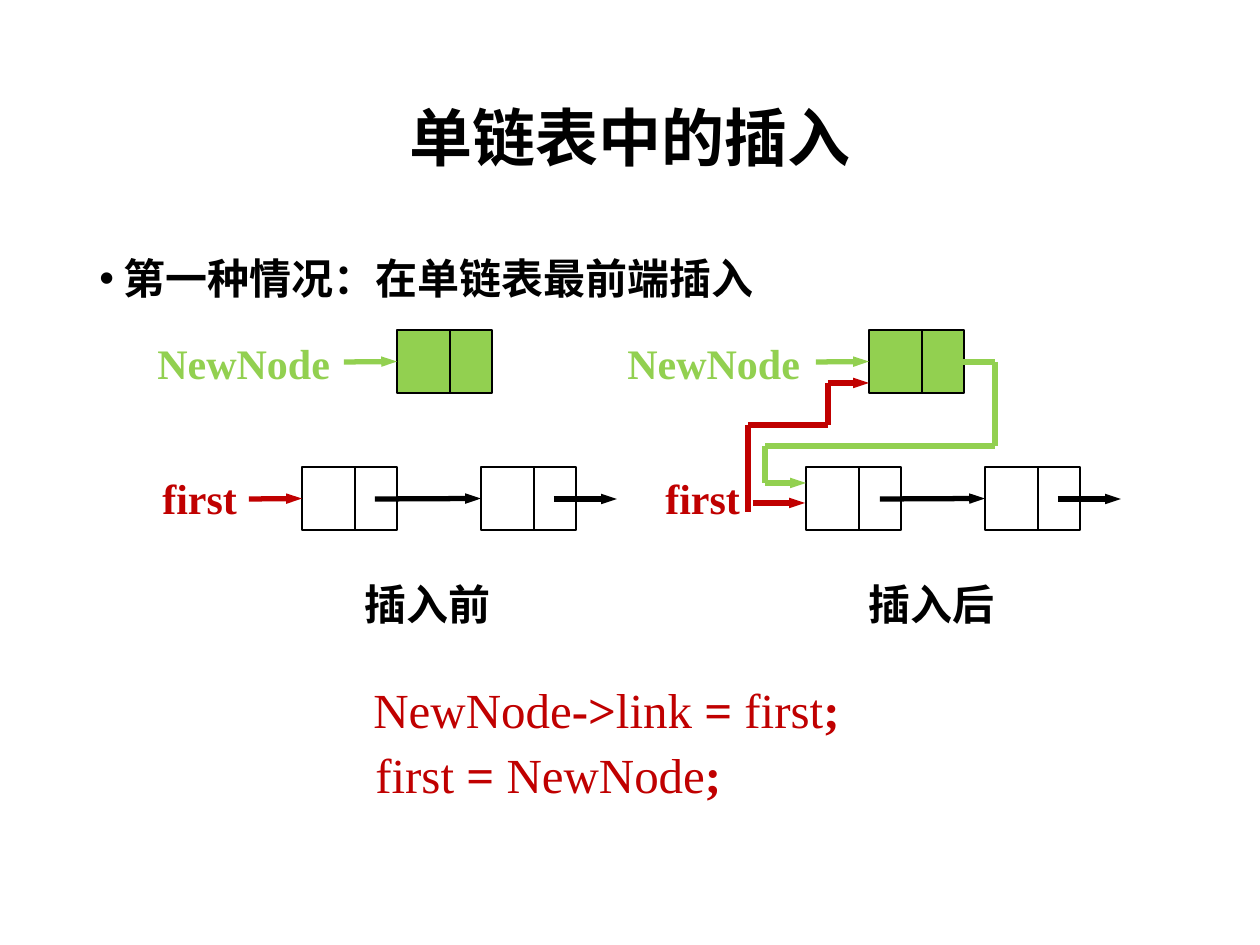
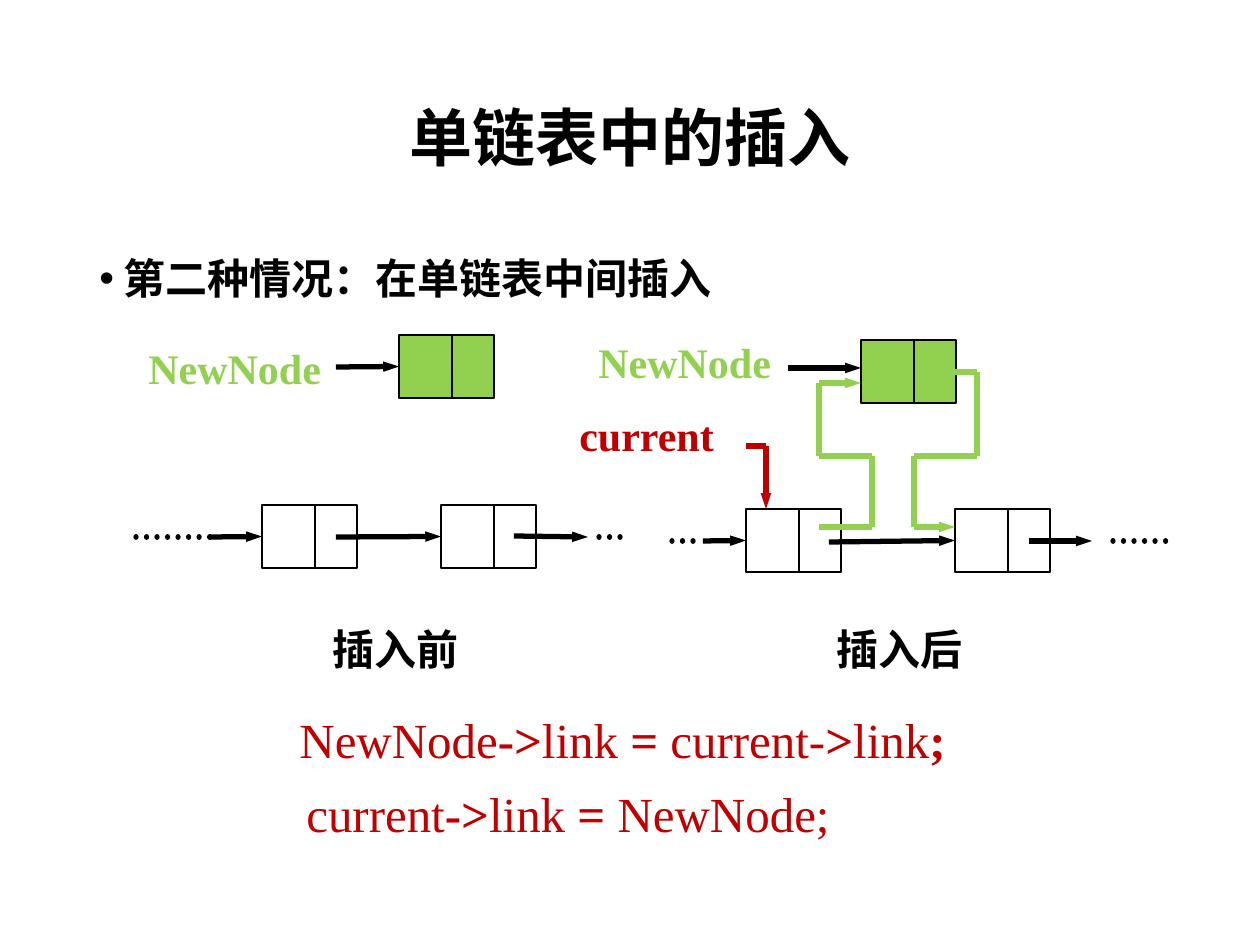
from itertools import pairwise
from lxml.etree import SubElement
from pptx import Presentation
from pptx.dml.color import RGBColor
from pptx.enum.dml import MSO_LINE
from pptx.enum.shapes import MSO_CONNECTOR, MSO_SHAPE
from pptx.enum.text import MSO_ANCHOR, MSO_AUTO_SIZE, PP_ALIGN
from pptx.oxml.ns import qn
from pptx.util import Emu, Pt

BLACK = RGBColor(0, 0, 0)
WHITE = RGBColor(255, 255, 255)
GREEN = RGBColor(0x92, 0xD0, 0x50)
RED = RGBColor(0xC0, 0, 0)
HAN = "Noto Sans CJK SC"
ROMAN = "Times New Roman"

WIDE, HIGH, SPLIT = 95, 63, 53
TITLE = "单链表中的插入"
BEFORE, AFTER = "插入前", "插入后"

FRONT = {
    "point": "第一种情况：在单链表最前端插入",
    "new": [(397, 330), (869, 330)],
    "nodes": [(302, 467), (481, 467), (806, 467), (985, 467)],
    "labels": [
        (BEFORE, 352, 572, 152, BLACK),
        (AFTER, 856, 572, 152, BLACK),
        ("NewNode", 145, 331, 200, GREEN),
        ("NewNode", 615, 331, 200, GREEN),
        ("first", 150, 466, 116, RED),
        ("first", 653, 466, 116, RED),
    ],
    "dots": [],
    "arrows": [
        (GREEN, [(344, 362), (397, 362)]),
        (GREEN, [(816, 362), (869, 362)]),
        (RED, [(249, 499), (302, 499)]),
        (BLACK, [(375, 499), (481, 499)]),
        (BLACK, [(554, 499), (617, 499)]),
        (BLACK, [(880, 499), (985, 499)]),
        (BLACK, [(1058, 499), (1121, 499)]),
        (RED, [(753, 503), (805, 503)]),
        (RED, [(748, 512), (748, 425), (828, 425), (828, 383), (869, 383)]),
        (GREEN, [(942, 362), (995, 362), (995, 446), (765, 446),
                 (765, 483), (806, 483)]),
    ],
    "code": [
        (361, 673, 546, ["NewNode", "->", "link ", "= ", "first", ";"]),
        (363, 738, 375, ["first ", "= ", "NewNode", ";"]),
    ],
}

MIDDLE = {
    "point": "第二种情况：在单链表中间插入",
    "new": [(399, 335), (861, 340)],
    "nodes": [(262, 505), (441, 505), (746, 509), (955, 509)],
    "labels": [
        (BEFORE, 320, 617, 152, BLACK),
        (AFTER, 824, 617, 152, BLACK),
        ("NewNode", 136, 336, 200, GREEN),
        ("NewNode", 586, 330, 200, GREEN),
        ("current", 567, 403, 161, RED),
    ],
    "dots": [
        [(136, 537), (210, 537)],
        [(599, 537), (630, 537)],
        [(672, 541), (703, 541)],
        [(1113, 541), (1166, 541)],
    ],
    "arrows": [
        (BLACK, [(336, 367), (399, 367)]),
        (BLACK, [(788, 368), (861, 368)]),
        (BLACK, [(210, 537), (262, 537)]),
        (BLACK, [(336, 537), (441, 536)]),
        (BLACK, [(514, 536), (588, 537)]),
        (BLACK, [(703, 541), (746, 541)]),
        (BLACK, [(829, 542), (955, 542)]),
        (BLACK, [(1029, 541), (1092, 541)]),
        (RED, [(746, 446), (766, 446), (766, 509)]),
        (GREEN, [(935, 372), (977, 372), (977, 456), (914, 456),
                 (914, 527), (955, 527)]),
        (GREEN, [(819, 527), (872, 527), (872, 456), (819, 456),
                 (819, 383), (861, 383)]),
    ],
    "code": [
        (287, 703, 684, ["NewNode", "->", "link ", "= ", "current-", ">",
                         "link", ";"]),
        (294, 777, 554, ["current", "->", "link ", "= ", "NewNode;"]),
    ],
}


def px(n):
    return Emu(round(n * 914400 / 126))


def write(para, text, size, color, bold=True, face=ROMAN):
    run = para.add_run()
    run.text = text
    font = run.font
    font.size, font.bold, font.name = Pt(size), bold, face
    font.color.rgb = color
    SubElement(run._r.get_or_add_rPr(), qn("a:ea"), typeface=HAN)


def add_box(slide, x, y, wide, high=HIGH):
    box = slide.shapes.add_textbox(px(x), px(y), px(wide), px(high))
    box.text_frame.word_wrap = True
    return box.text_frame.paragraphs[0]


def add_line(slide, start, end, color, width=3.0):
    line = slide.shapes.add_connector(
        MSO_CONNECTOR.STRAIGHT, *map(px, start + end))
    line.line.color.rgb = color
    line.line.width = Pt(width)
    SubElement(line._element.spPr, qn("a:effectLst"))
    return line


def add_node(slide, spot, fill):
    x, y = spot
    node = slide.shapes.add_shape(
        MSO_SHAPE.RECTANGLE, px(x), px(y), px(WIDE), px(HIGH))
    node.shadow.inherit = False
    node.fill.solid()
    node.fill.fore_color.rgb = fill
    node.line.color.rgb = BLACK
    node.line.width = Pt(0.75)
    add_line(slide, (x + SPLIT, y), (x + SPLIT, y + HIGH), BLACK, 0.75)
    return node


def add_arrow(slide, color, points, nodes):
    for start, end in pairwise(points):
        line = add_line(slide, start, end, color)
    SubElement(line._element.spPr.find(qn("a:ln")), qn("a:tailEnd"),
               type="triangle", w="sm", len="med")
    for (x, y), node in nodes.items():
        if end[0] == x and abs(end[1] - y - HIGH / 2) < 2:
            line.end_connect(node, 1)


def add_dots(slide, start, end):
    line = add_line(slide, start, end, BLACK)
    line.line.dash_style = MSO_LINE.ROUND_DOT
    line._element.spPr.find(qn("a:ln")).set("cap", "rnd")


def add_head(slide, point):
    title = slide.shapes.title
    title.left, title.top, title.width, title.height = map(
        px, (87, 50, 1086, 183))
    frame = title.text_frame
    frame.auto_size = MSO_AUTO_SIZE.NONE
    frame.vertical_anchor = MSO_ANCHOR.MIDDLE
    para = frame.paragraphs[0]
    para.alignment = PP_ALIGN.CENTER
    para.line_spacing = 0.9
    write(para, TITLE, 36, BLACK, face=HAN)

    para = add_box(slide, 87, 252, 1086, 600)
    props = para._p.get_or_add_pPr()
    props.set("marL", str(px(24)))
    props.set("indent", str(-px(24)))
    SubElement(props, qn("a:buFont"), typeface="Arial")
    SubElement(props, qn("a:buChar"), char="•")
    para.line_spacing = 0.9
    write(para, point, 24, BLACK, face=HAN)


def build(deck, data):
    slide = deck.slides.add_slide(deck.slide_layouts[5])
    add_head(slide, data["point"])
    nodes = {}
    for kind, fill in (("new", GREEN), ("nodes", WHITE)):
        for spot in data[kind]:
            nodes[spot] = add_node(slide, spot, fill)
    for color, points in data["arrows"]:
        add_arrow(slide, color, points, nodes)
    for start, end in data["dots"]:
        add_dots(slide, start, end)
    for text, x, y, wide, color in data["labels"]:
        write(add_box(slide, x, y, wide), text, 24, color)
    for x, y, wide, parts in data["code"]:
        para = add_box(slide, x, y, wide, 72)
        for i, part in enumerate(parts):
            write(para, part, 28, RED, bold=i % 2 == 1)


def main():
    deck = Presentation()
    deck.slide_width, deck.slide_height = px(1260), px(945)
    for data in (FRONT, MIDDLE):
        build(deck, data)
    deck.save("out.pptx")


if __name__ == "__main__":
    main()
